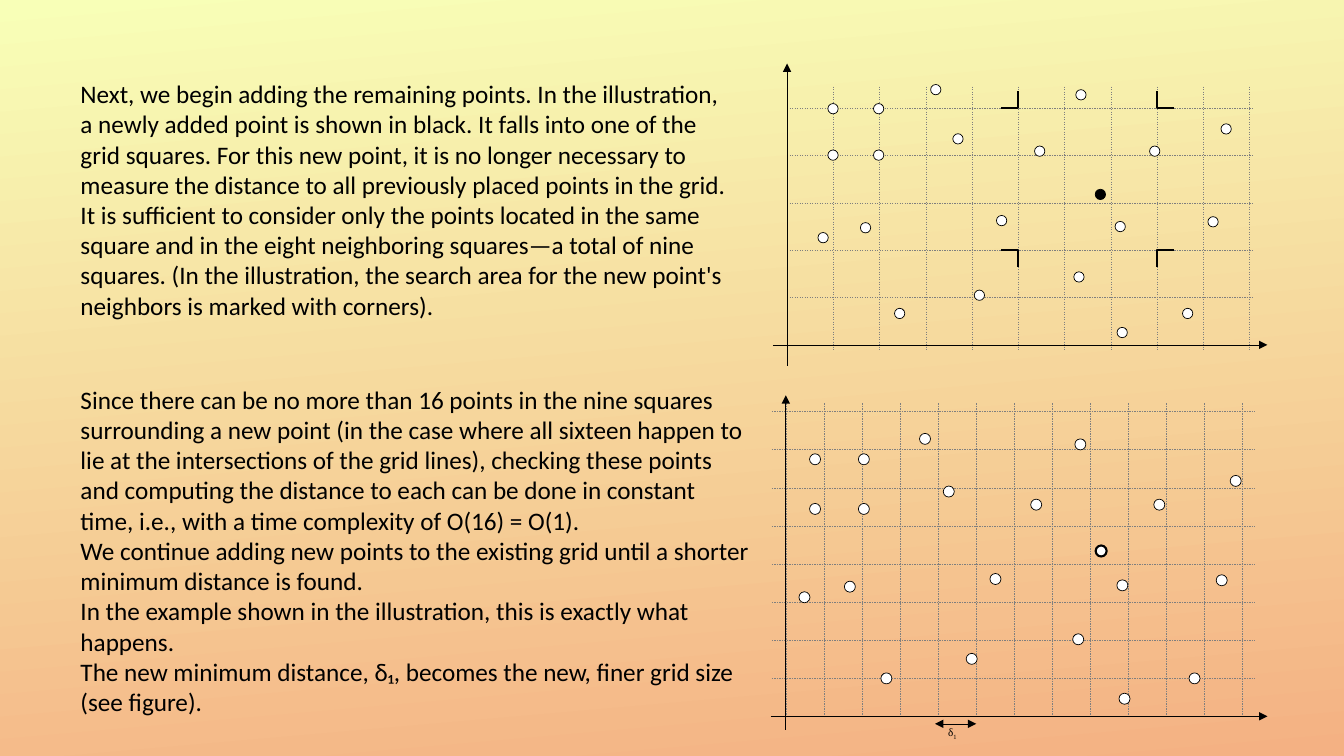
import collections
import pptx
import pptx.dml.color
import pptx.enum.dml
import pptx.enum.shapes
import pptx.enum.text
import pptx.oxml
import pptx.oxml.ns
import pptx.util

Cm = pptx.util.Cm
Pt = pptx.util.Pt
Box = collections.namedtuple("Box", "left top width height")
Graph = collections.namedtuple(
    "Graph", "box origin_x axis_lift columns rows grid_width grid_height "
    "row_start column_top column_end point_left point_top scale new_fill new_line")

YELLOW = pptx.dml.color.RGBColor(0xF8, 0xFF, 0xB7)
ORANGE = pptx.dml.color.RGBColor(0xF4, 0xB1, 0x83)
BLACK = pptx.dml.color.RGBColor(0, 0, 0)
WHITE = pptx.dml.color.RGBColor(0xFF, 0xFF, 0xFF)
GREY = pptx.dml.color.RGBColor(0x7F, 0x7F, 0x7F)

FIRST_TEXT = (
    "Next, we begin adding the remaining points. In the illustration, a newly added point "
    "is shown in black. It falls into one of the grid squares. For this new point, it is no "
    "longer necessary to measure the distance to all previously placed points in the grid. "
    "It is sufficient to consider only the points located in the same square and in the eight "
    "neighboring squares—a total of nine squares. (In the illustration, the search area for "
    "the new point's neighbors is marked with corners).")
SECOND_TEXT = "\v".join([
    "Since there can be no more than 16 points in the nine squares surrounding a new point "
    "(in the case where all sixteen happen to lie at the intersections of the grid lines), "
    "checking these points and computing the distance to each can be done in constant time, "
    "i.e., with a time complexity of O(16) = O(1).",
    "We continue adding new points to the existing grid until a shorter minimum distance is found.",
    "In the example shown in the illustration, this is exactly what happens.",
    "The new minimum distance, δ₁, becomes the new, finer grid size (see figure)."])

POINTS = [
    (0, 3.73), (0.25, 0.48), (2.84, 0), (1.07, 3.48), (1.93, 5.64), (3.94, 5.18), (4.5, 3.3),
    (3.4, 1.24), (5.46, 1.55), (6.5, 0.13), (8.36, 1.55), (10.16, 0.99), (9.83, 3.33),
    (7.49, 3.45), (6.45, 4.72), (7.54, 6.12), (9.19, 5.64), (0.25, 1.65), (1.4, 1.65), (1.4, 0.48)]
NEW_POINT = (6.99, 2.64)
DOT_SIZE = 0.26
CORNER_ARM = 0.43
GRID_RIGHT = 0.33

COARSE = Graph(Box(19.48, 1.6, 12.47, 7.62), 0.36, 0.53, 10, 5, 11.66, 5.96,
               0.36, 0.58, 7.24, 1.27, 0.66, 1, BLACK, 0.5)
FINE = Graph(Box(19.43, 9.96, 12.52, 8.43), 0.38, 0.34, 12, 8, 11.51, 7.68,
             0.03, 0.2, 8.05, 0.85, 1.1, 1.07, WHITE, 1.5)


def add_line(shapes, start, end, color, weight, dashed=False, arrows=()):
    line = shapes.add_connector(pptx.enum.shapes.MSO_CONNECTOR.STRAIGHT,
                                Cm(start[0]), Cm(start[1]), Cm(end[0]), Cm(end[1]))
    line.line.color.rgb = color
    line.line.width = Pt(weight)
    if dashed:
        line.line.dash_style = pptx.enum.dml.MSO_LINE.DASH
    properties = line._element.spPr
    outline = properties.find(pptx.oxml.ns.qn("a:ln"))
    for arrow in arrows:
        outline.append(pptx.oxml.parse_xml(
            f'<a:{arrow} {pptx.oxml.ns.nsdecls("a")} type="triangle"/>'))
    properties.append(pptx.oxml.parse_xml(f'<a:effectLst {pptx.oxml.ns.nsdecls("a")}/>'))


def add_dot(shapes, graph, point, fill=WHITE, weight=0.5):
    size = DOT_SIZE * graph.scale
    x = graph.box.left + graph.point_left + point[0] * graph.scale
    y = graph.box.top + graph.point_top + point[1] * graph.scale
    dot = shapes.add_shape(pptx.enum.shapes.MSO_SHAPE.OVAL,
                           Cm(x - size / 2), Cm(y - size / 2), Cm(size), Cm(size))
    dot.shadow.inherit = False
    dot.fill.solid()
    dot.fill.fore_color.rgb = fill
    dot.line.color.rgb = BLACK
    dot.line.width = Pt(weight)


def grid_position(graph, column, row):
    x = graph.box.left + graph.origin_x + column * graph.grid_width / graph.columns
    axis = graph.box.top + graph.box.height - graph.axis_lift
    return x, axis - row * graph.grid_height / graph.rows


def add_graph(page, graph):
    shapes = page.shapes.add_group_shape().shapes
    box = graph.box
    right, bottom = box.left + box.width, box.top + box.height
    for row in range(graph.rows + 1):
        y = grid_position(graph, 0, row)[1]
        add_line(shapes, (box.left + graph.row_start, y), (right - GRID_RIGHT, y), GREY, 0.25, True)
    for column in range(graph.columns + 1):
        x = grid_position(graph, column, 0)[0]
        add_line(shapes, (x, box.top + graph.column_top), (x, box.top + graph.column_end),
                 GREY, 0.25, True)
    for point in POINTS:
        add_dot(shapes, graph, point)
    add_dot(shapes, graph, NEW_POINT, graph.new_fill, graph.new_line)
    origin_x, axis_y = grid_position(graph, 0, 0)
    add_line(shapes, (box.left, axis_y), (right, axis_y), BLACK, 0.5, arrows=["tailEnd"])
    add_line(shapes, (origin_x, bottom), (origin_x, box.top), BLACK, 0.5, arrows=["tailEnd"])
    return shapes


def add_search_corners(shapes, graph):
    for column, side in ((5, -1), (8, 1)):
        for row, rise in ((2, CORNER_ARM), (5, -CORNER_ARM)):
            x, y = grid_position(graph, column, row)
            builder = shapes.build_freeform(Cm(x + side * CORNER_ARM), Cm(y))
            builder.add_line_segments([(Cm(x), Cm(y)), (Cm(x), Cm(y + rise))], close=False)
            corner = builder.convert_to_shape()
            corner.shadow.inherit = False
            corner.fill.background()
            corner.line.color.rgb = BLACK
            corner.line.width = Pt(1.5)


def add_distance_mark(shapes, box):
    add_line(shapes, (box.left, box.top), (box.left + box.width, box.top),
             BLACK, 0.25, arrows=["headEnd", "tailEnd"])
    label = shapes.add_textbox(Cm(box.left + 0.33), Cm(box.top + 0.03),
                               Cm(box.width), Cm(box.height))
    frame = label.text_frame
    frame.margin_left = frame.margin_right = frame.margin_top = frame.margin_bottom = 0
    frame.word_wrap = True
    para = frame.paragraphs[0]
    para.font.name = "Times New Roman"
    para.font.size = Pt(8)
    para.font.color.rgb = BLACK
    for text in ("δ", "1"):
        span = para.add_run()
        span.text = text
    span._r.get_or_add_rPr().set("baseline", "-25000")


def add_explanation(page, box, text):
    shape = page.shapes.add_textbox(Cm(box.left), Cm(box.top), Cm(box.width), Cm(box.height))
    frame = shape.text_frame
    frame.word_wrap = True
    frame.auto_size = pptx.enum.text.MSO_AUTO_SIZE.SHAPE_TO_FIT_TEXT
    para = frame.paragraphs[0]
    para.text = text
    para.font.name = "Calibri"
    para.font.size = Pt(18)
    para.font.color.rgb = BLACK


def paint_background(page):
    fill = page.background.fill
    fill.gradient()
    fill.gradient_angle = 275
    for stop, color, position in zip(fill.gradient_stops, (YELLOW, ORANGE), (0, 1)):
        stop.color.rgb = color
        stop.position = position


def main():
    deck = pptx.Presentation()
    deck.slide_width = Cm(33.88)
    deck.slide_height = Cm(19.05)
    page = deck.slides.add_slide(deck.slide_layouts[6])
    paint_background(page)
    add_explanation(page, Box(1.78, 1.85, 16.94, 6.35), FIRST_TEXT)
    add_search_corners(add_graph(page, COARSE), COARSE)
    add_explanation(page, Box(1.78, 9.55, 17.42, 8.64), SECOND_TEXT)
    add_distance_mark(add_graph(page, FINE), Box(23.57, 18.24, 1.04, 0.7))
    deck.save("out.pptx")


if __name__ == "__main__":
    main()
